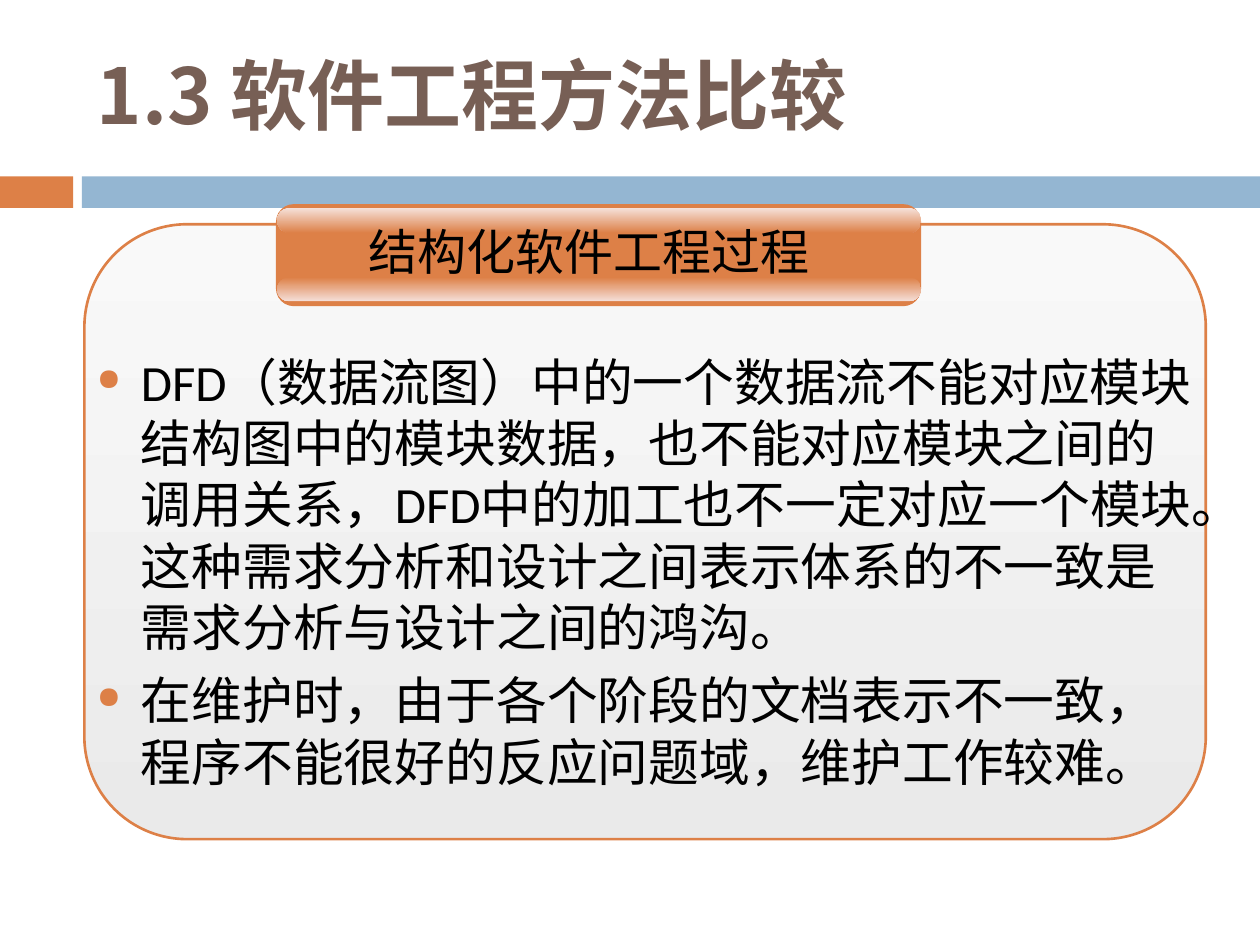
from lxml import etree
from pptx import Presentation
from pptx.dml.color import RGBColor
from pptx.enum.shapes import MSO_SHAPE
from pptx.enum.text import MSO_ANCHOR, PP_ALIGN
from pptx.oxml.ns import qn
from pptx.util import Inches, Pt

RECT, ROUND = MSO_SHAPE.RECTANGLE, MSO_SHAPE.ROUNDED_RECTANGLE
LEFT, CENTER, TOP = PP_ALIGN.LEFT, PP_ALIGN.CENTER, MSO_ANCHOR.TOP
ORANGE = RGBColor(0xDD, 0x80, 0x47)
BLUE = RGBColor(0x94, 0xB6, 0xD2)
BROWN = RGBColor(0x77, 0x5F, 0x55)
BLACK = RGBColor(0, 0, 0)
PALE = RGBColor(0xF9, 0xF9, 0xF9)
GREY = RGBColor(0xEA, 0xEA, 0xEA)
GLOSS = RGBColor(0xF5, 0xE1, 0xDA)
SHADE = RGBColor(0xF4, 0xDD, 0xD6)
CJK = "Noto Sans CJK SC"

prs = Presentation()
prs.slide_width, prs.slide_height = Inches(10), Inches(7.5)
slide = prs.slides.add_slide(prs.slide_layouts[6])


def add_box(kind, area, fills, adj=None, line=None):
    """Add a shape with one flat colour or a top-to-bottom gradient."""
    box = slide.shapes.add_shape(kind, *map(Inches, area))
    box.shadow.inherit = False
    if adj is not None:
        box.adjustments[0] = adj
    if len(fills) == 1:
        box.fill.solid()
        box.fill.fore_color.rgb = fills[0]
    else:
        box.fill.gradient()
        box.fill.gradient_angle = 270
        for stop, color in zip(box.fill.gradient_stops, fills):
            stop.color.rgb = color
    if line is None:
        box.line.fill.background()
    else:
        box.line.color.rgb = line
        box.line.width = Pt(1.5)


def add_text(area, lines, size, font=CJK, color=BLACK, bold=False,
             align=LEFT, pitch=0.9, inset=0.05, before=0, bullet=None):
    """Add a text box with one paragraph per line."""
    frame = slide.shapes.add_textbox(*map(Inches, area)).text_frame
    frame.word_wrap = True
    frame.vertical_anchor = TOP
    frame.margin_top = Inches(inset)
    for i, text in enumerate(lines):
        para = frame.add_paragraph() if i else frame.paragraphs[0]
        para.alignment = align
        para.line_spacing = pitch
        para.space_before = Pt(before)
        run = para.add_run()
        run.text = text
        run.font.size, run.font.name, run.font.bold = Pt(size), font, bold
        run.font.color.rgb = color
        east = etree.SubElement(run.font._element, qn("a:ea"))
        east.set("typeface", CJK)
        if bullet is not None:
            props = para._p.get_or_add_pPr()
            props.set("marL", str(Inches(0.35)))
            props.set("indent", str(-Inches(0.35)))
            tint = etree.SubElement(props, qn("a:buClr"))
            etree.SubElement(tint, qn("a:srgbClr")).set("val", str(bullet))
            etree.SubElement(props, qn("a:buSzPct")).set("val", "60000")
            etree.SubElement(props, qn("a:buChar")).set("char", "●")


# Band under the title
add_box(RECT, (0, 1.4, 0.58, 0.25), [ORANGE])
add_box(RECT, (0.65, 1.4, 9.35, 0.25), [BLUE])

# Title
add_text((0.67, 0.46, 8.92, 1.08), ["1.3 软件工程方法比较"], 44,
         color=BROWN, bold=True, inset=0)

# Panel
add_box(ROUND, (0.67, 1.78, 8.9, 4.88), [PALE, GREY], adj=0.167, line=ORANGE)

# Glossy label
add_box(ROUND, (2.19, 1.62, 5.12, 0.81), [ORANGE], adj=0.175)
add_box(ROUND, (2.2, 2.2, 5.11, 0.19), [ORANGE, SHADE], adj=0.5)
add_box(ROUND, (2.2, 1.65, 5.11, 0.2), [GLOSS, ORANGE], adj=0.5)
add_text((2.56, 1.76, 4.23, 0.57), ["结构化软件工程过程"], 28,
         font="Noto Sans CJK JP", align=CENTER)

# Body
add_text((0.67, 2.73, 8.9, 4.2), [
    "DFD（数据流图）中的一个数据流不能对应模块结构图中的模块数据，"
    "也不能对应模块之间的调用关系，DFD中的加工也不一定对应一个模块。"
    "这种需求分析和设计之间表示体系的不一致是需求分析与设计之间的鸿沟。",
    "在维护时，由于各个阶段的文档表示不一致，"
    "程序不能很好的反应问题域，维护工作较难。",
], 29, font="Calibri", pitch=Pt(35), before=7, bullet=ORANGE)

prs.save("out.pptx")
